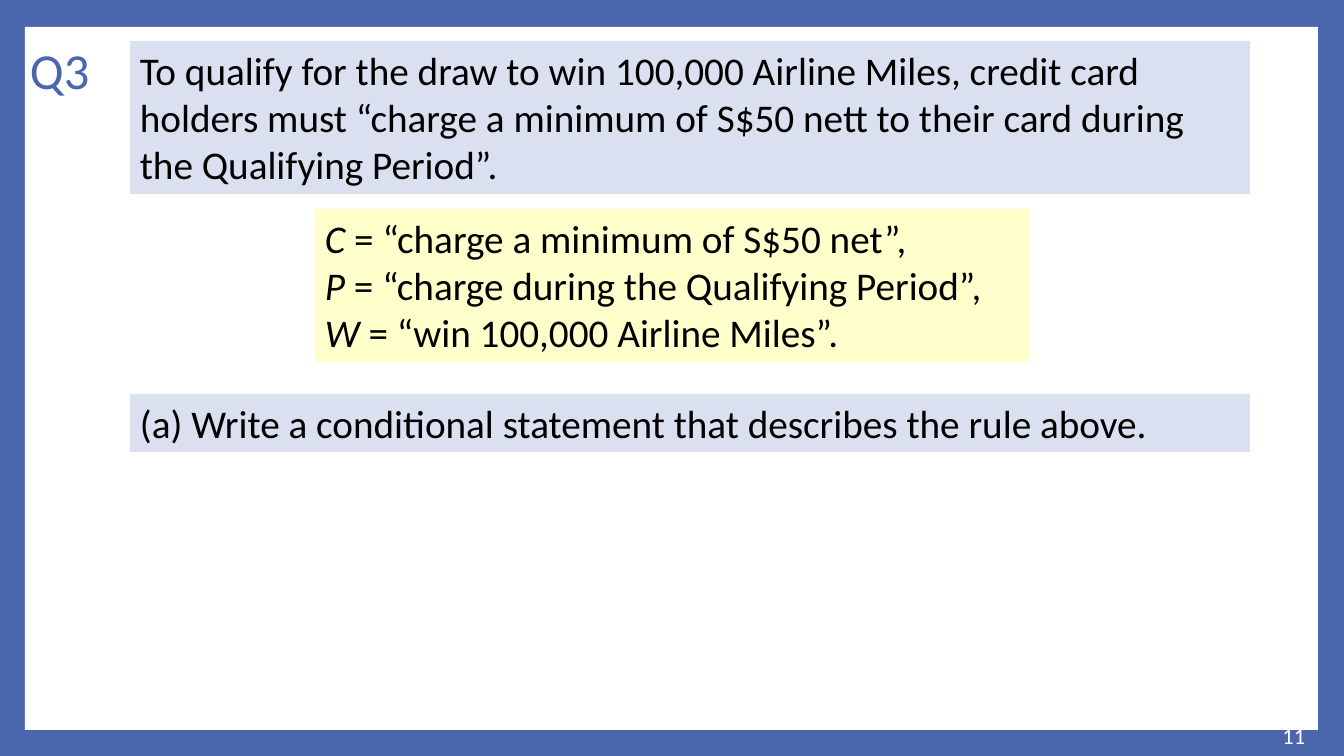
"""Build the Q3 slide on the conditional rule of a prize draw."""
from pptx import Presentation
from pptx.dml.color import RGBColor
from pptx.enum.shapes import MSO_SHAPE as Shape
from pptx.enum.text import MSO_ANCHOR as Anchor, PP_ALIGN as Align
from pptx.util import Pt

BLUE = RGBColor(0x4A, 0x66, 0xAC)
PALE_BLUE = RGBColor(0xDA, 0xE0, 0xEF)
PALE_YELLOW = RGBColor(0xFF, 0xFF, 0xCC)
WHITE = RGBColor(0xFF, 0xFF, 0xFF)
BLACK = RGBColor(0, 0, 0)
FONT = "Calibri"

QUESTION_NUMBER = "Q3"
PAGE_NUMBER = "11"
RULE = (
    "To qualify for the draw to win 100,000 Airline Miles, credit card holders must "
    "“charge a minimum of S$50 nett to their card during the Qualifying Period”."
)
DEFINITIONS = [
    ("C", "“charge a minimum of S$50 net”,"),
    ("P", "“charge during the Qualifying Period”,"),
    ("W", "“win 100,000 Airline Miles”."),
]
TASK = "(a) Write a conditional statement that describes the rule above."

SLIDE_W, SLIDE_H = 1344, 756
PANEL = (25, 27, 1293, 703)
TITLE_BOX = (20, 0, 109, 146)
PAGE_BOX = (1127, 716, 188, 40)
BAND_LEFT, BAND_W = 130, 1120
RULE_BOX = (BAND_LEFT, 41, BAND_W, 153)
DEFINITION_W = 714
DEFINITION_BOX = ((SLIDE_W - DEFINITION_W) // 2, 209, DEFINITION_W, 153)
TASK_BOX = (BAND_LEFT, 394, BAND_W, 58)


def px(length):
    """Turn px into EMU."""
    return round(length * 914400 / 100.8)


def add_text(slide, box, lines, size=28, color=BLACK, fill=None,
             anchor=Anchor.TOP, align=Align.LEFT, spacing=1.0):
    """Add a text box whose lines are lists of (text, italic) runs."""
    holder = slide.shapes.add_textbox(*map(px, box))
    if fill is not None:
        holder.fill.solid()
        holder.fill.fore_color.rgb = fill
    frame = holder.text_frame
    frame.word_wrap = True
    frame.vertical_anchor = anchor
    for index, line in enumerate(lines):
        paragraph = frame.add_paragraph() if index else frame.paragraphs[0]
        paragraph.alignment = align
        paragraph.line_spacing = spacing
        for text, italic in line:
            run = paragraph.add_run()
            run.text = text
            run.font.name = FONT
            run.font.size = Pt(size)
            run.font.italic = italic
            run.font.color.rgb = color


def main():
    """Lay out the slide and save it."""
    deck = Presentation()
    deck.slide_width, deck.slide_height = px(SLIDE_W), px(SLIDE_H)
    slide = deck.slides.add_slide(deck.slide_layouts[6])
    slide.background.fill.solid()
    slide.background.fill.fore_color.rgb = BLUE

    panel = slide.shapes.add_shape(Shape.RECTANGLE, *map(px, PANEL))
    panel.shadow.inherit = False
    panel.fill.solid()
    panel.fill.fore_color.rgb = WHITE
    panel.line.fill.background()

    add_text(slide, TITLE_BOX, [[(QUESTION_NUMBER, False)]], size=36, color=BLUE,
             anchor=Anchor.MIDDLE, spacing=0.9)
    add_text(slide, RULE_BOX, [[(RULE, False)]], fill=PALE_BLUE)
    add_text(slide, PAGE_BOX, [[(PAGE_NUMBER, False)]], size=16, color=WHITE,
             anchor=Anchor.MIDDLE, align=Align.RIGHT)
    definitions = [[(symbol, True), (f" = {meaning}", False)]
                   for symbol, meaning in DEFINITIONS]
    add_text(slide, DEFINITION_BOX, definitions, fill=PALE_YELLOW)
    add_text(slide, TASK_BOX, [[(TASK, False)]], fill=PALE_BLUE)

    deck.save("out.pptx")


if __name__ == "__main__":
    main()
